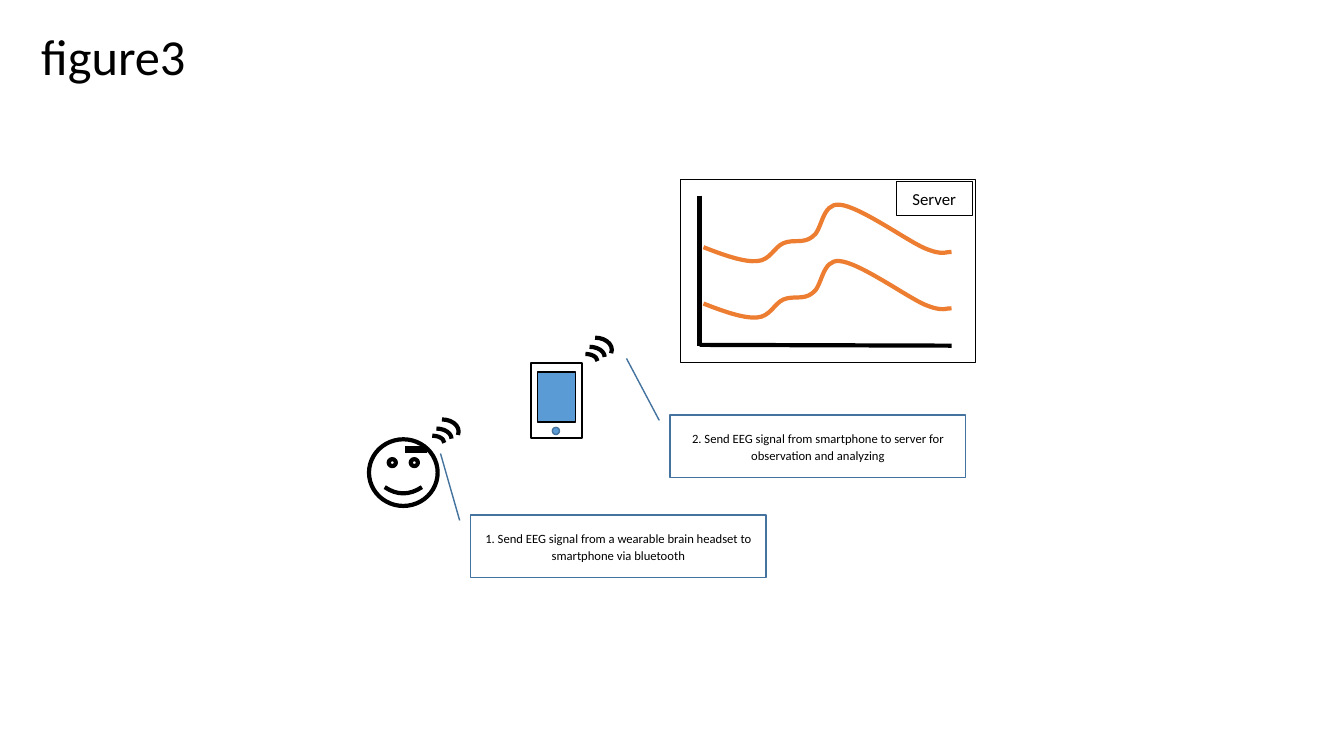
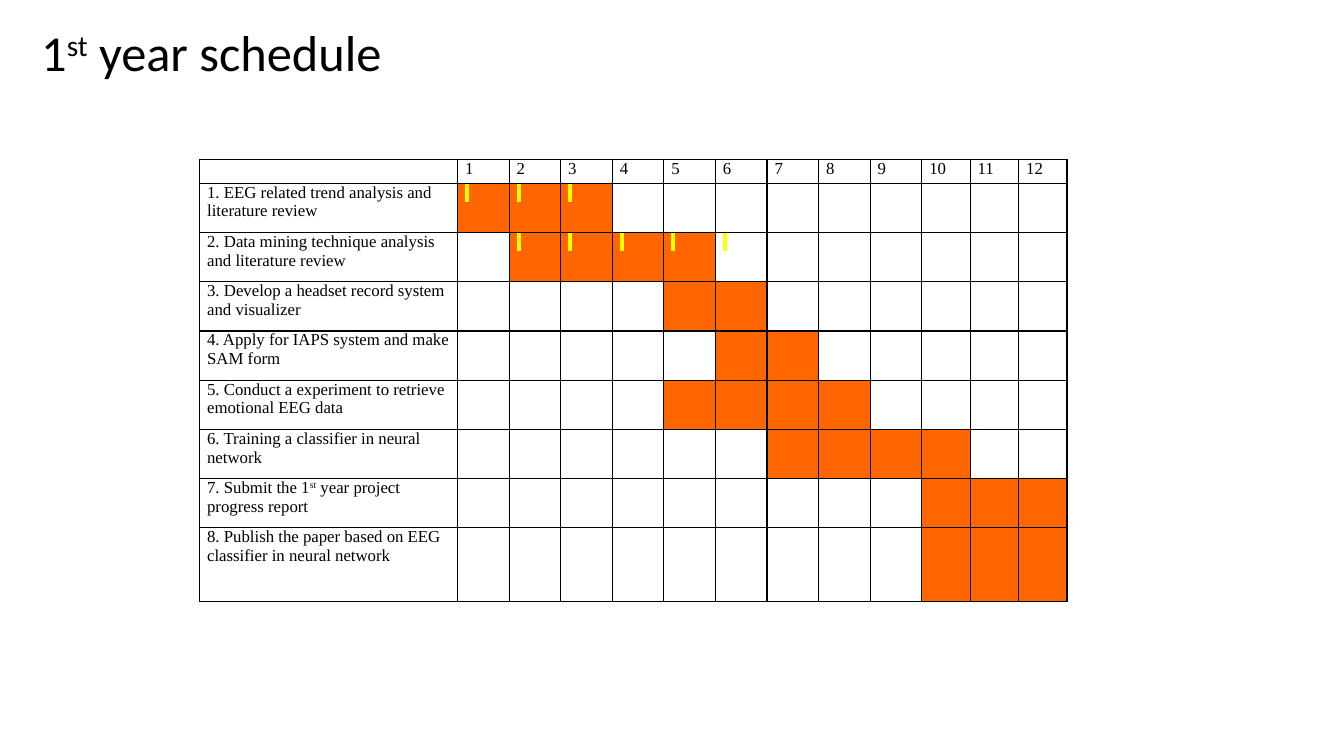
import dataclasses

import lxml.etree
import pptx
import pptx.dml.color
import pptx.enum.shapes
import pptx.enum.text
import pptx.oxml
import pptx.oxml.ns
import pptx.util

Cm = pptx.util.Cm
Pt = pptx.util.Pt
qn = pptx.oxml.ns.qn
Kind = pptx.enum.shapes.MSO_SHAPE
Align = pptx.enum.text.PP_ALIGN
Anchor = pptx.enum.text.MSO_ANCHOR


@dataclasses.dataclass(frozen=True)
class Theme:
    ink: str = "000000"
    paper: str = "FFFFFF"
    screen: str = "5B9BD5"
    edge: str = "43739E"
    wave: str = "ED7D31"
    bar: str = "FF6600"
    mark: str = "FFFF00"
    sans: str = "Calibri"
    serif: str = "Times New Roman"
    title: int = 36
    body: int = 12
    note: int = 9


theme = Theme()

RINGS = [
    (0, 0.41, 0.61, 0.36, ()),
    (0.03, 0.23, 0.76, 0.51, ()),
    (0.13, 0, 0.84, 0.61, (162, 7.319)),
]
WAVE = [
    (0, 1.07),
    (0.51, 1.27), (1.02, 1.45), (1.35, 1.42),
    (1.68, 1.4), (1.78, 1.07), (2.01, 0.97),
    (2.26, 0.86), (2.51, 0.99), (2.74, 0.81),
    (3, 0.66), (2.97, -0.05), (3.43, 0),
    (3.91, 0.03), (5.11, 0.89), (5.56, 1.09),
    (6.05, 1.3), (6.12, 1.17), (6.25, 1.19),
]
TASKS = [
    ("1. EEG related trend analysis and literature review", 1, 3),
    ("2. Data mining technique analysis and literature review", 2, 5),
    ("3. Develop a headset record system and visualizer", 5, 6),
    ("4. Apply for IAPS system and make SAM form", 6, 7),
    ("5. Conduct a experiment to retrieve emotional EEG data", 5, 8),
    ("6. Training a classifier in neural network", 7, 10),
    ("7. Submit the 1^st^ year project progress report", 10, 12),
    ("8. Publish the paper based on EEG classifier in neural network", 10, 12),
]
MARKS = {1: range(1, 4), 2: range(2, 7)}
COLS = [6.5] + [1.3] * 9 + [1.22] * 3
ROWS = [0.61] + [1.24] * 7 + [1.85]


def rgb(code):
    return pptx.dml.color.RGBColor.from_string(code)


def write(frame, text, size=theme.body, font=theme.sans, align=Align.LEFT, lead=None, mark=None):
    para = frame.paragraphs[0]
    para.alignment = align
    if lead:
        para.line_spacing = Pt(lead)
    for turn, part in enumerate(text.split("^")):
        if not part:
            continue
        run = para.add_run()
        run.text = part
        run.font.size = Pt(size)
        run.font.name = font
        run.font.color.rgb = rgb(theme.ink)
        props = run.font._element
        if turn % 2:
            props.set("baseline", "30000")
        if mark:
            glow = lxml.etree.Element(qn("a:highlight"))
            lxml.etree.SubElement(glow, qn("a:srgbClr")).set("val", mark)
            props.find(qn("a:solidFill")).addnext(glow)
    lxml.etree.SubElement(para._p, qn("a:endParaRPr")).set("sz", str(size * 100))


def stroke(item, color, width):
    item.line.color.rgb = rgb(color)
    item.line.width = Pt(width)


def shape(slide, kind, box, line=theme.ink, width=1, fill=None, bend=()):
    item = slide.shapes.add_shape(kind, *map(Cm, box))
    item.shadow.inherit = False
    if fill:
        item.fill.solid()
        item.fill.fore_color.rgb = rgb(fill)
    else:
        item.fill.background()
    stroke(item, line, width)
    for spot, value in enumerate(bend):
        item.adjustments[spot] = value
    return item


def label(item, text, **form):
    item.text_frame.word_wrap = True
    item.text_frame.vertical_anchor = Anchor.MIDDLE
    write(item.text_frame, text, align=Align.CENTER, **form)


def title(slide, text, top):
    frame = slide.shapes.add_textbox(Cm(0.79), Cm(top), Cm(14), Cm(1.8)).text_frame
    frame.word_wrap = True
    frame.auto_size = pptx.enum.text.MSO_AUTO_SIZE.SHAPE_TO_FIT_TEXT
    write(frame, text, size=theme.title)


def rule(slide, start, end, width=3):
    kind = pptx.enum.shapes.MSO_CONNECTOR.STRAIGHT
    item = slide.shapes.add_connector(kind, *map(Cm, start + end))
    stroke(item, theme.ink, width)
    lxml.etree.SubElement(item._element.spPr, qn("a:effectLst"))


def signal(slide, left, top):
    for x, y, wide, high, bend in RINGS:
        shape(slide, Kind.ARC, (left + x, top + y, wide, high), width=3, bend=bend)


def wave(slide, left, top):
    dots = [(Cm(left + x), Cm(top + y)) for x, y in WAVE]
    form = slide.shapes.build_freeform(*dots[0])
    form.add_line_segments(dots[1:], close=False)
    item = form.convert_to_shape()
    item.shadow.inherit = False
    item.fill.background()
    stroke(item, theme.wave, 3)
    steps = list(item._element.iter(qn("a:lnTo")))
    for first in range(0, len(steps), 3):
        curve = lxml.etree.Element(qn("a:cubicBezTo"))
        steps[first].addprevious(curve)
        for step in steps[first:first + 3]:
            curve.append(step[0])
            step.getparent().remove(step)


def callout(slide, text, left, top, bend):
    box = (left, top, 7.44, 1.57)
    item = shape(slide, Kind.LINE_CALLOUT_1, box, line=theme.edge, bend=bend)
    label(item, text, size=theme.note, lead=12)


def phone(slide):
    shape(slide, Kind.RECTANGLE, (13.39, 9.14, 1.27, 1.91), width=1.5)
    shape(slide, Kind.RECTANGLE, (13.54, 9.37, 0.97, 1.27), fill=theme.screen)
    shape(slide, Kind.OVAL, (13.92, 10.77, 0.18, 0.18), line=theme.edge, fill=theme.screen)


def server(slide):
    shape(slide, Kind.RECTANGLE, (17.15, 4.52, 7.44, 4.62))
    for top in (5.16, 6.58):
        wave(slide, 17.73, top)
    rule(slide, (17.63, 4.93), (17.63, 8.71))
    rule(slide, (23.98, 8.71), (17.63, 8.69))
    tag = shape(slide, Kind.RECTANGLE, (22.58, 4.57, 1.93, 0.86), width=0.5)
    label(tag, "Server")


def paint(cell, text, fill, mark):
    cell.margin_left = cell.margin_right = Cm(0.19)
    cell.margin_top = cell.margin_bottom = 0
    write(cell.text_frame, text, font=theme.serif, mark=mark)
    props = cell._tc.get_or_add_tcPr()
    for side in ("a:lnL", "a:lnR", "a:lnT", "a:lnB"):
        line = lxml.etree.SubElement(props, qn(side), w=str(Pt(1)))
        solid = lxml.etree.SubElement(line, qn("a:solidFill"))
        lxml.etree.SubElement(solid, qn("a:srgbClr"), val=theme.ink)
    cell.fill.solid()
    cell.fill.fore_color.rgb = rgb(fill)


def chart(slide):
    size = (len(ROWS), len(COLS))
    place = (5.03, 4.01, sum(COLS), sum(ROWS))
    grid = slide.shapes.add_table(*size, *map(Cm, place)).table
    grid.first_row = grid.horz_banding = False
    for col, wide in zip(grid.columns, COLS):
        col.width = Cm(wide)
    for row, high in zip(grid.rows, ROWS):
        row.height = Cm(high)
    for month in range(len(COLS)):
        paint(grid.cell(0, month), str(month or ""), theme.paper, None)
    for row, (task, start, end) in enumerate(TASKS, 1):
        paint(grid.cell(row, 0), task, theme.paper, None)
        for month in range(1, len(COLS)):
            fill = theme.bar if start <= month <= end else theme.paper
            lit = month in MARKS.get(row, ())
            paint(grid.cell(row, month), " " if lit else "", fill, theme.mark if lit else None)


def figure(slide):
    shape(slide, Kind.SMILEY_FACE, (9.3, 11.07, 1.73, 1.68), width=3)
    rule(slide, (10.21, 11.33), (10.77, 11.33), width=4.5)
    signal(slide, 10.59, 10.57)
    phone(slide)
    signal(slide, 14.45, 8.51)
    server(slide)
    callout(slide, "1. Send EEG signal from a wearable brain headset to smartphone via bluetooth",
            11.86, 12.98, (0.086, -0.037, -0.989, -0.102))
    callout(slide, "2. Send EEG signal from smartphone to server for observation and analyzing",
            16.89, 10.46, (0.086, -0.037, -0.909, -0.148))
    title(slide, "figure3", 0.51)


def plan(slide):
    chart(slide)
    title(slide, "1^st^ year schedule", 0.41)


def main():
    deck = pptx.Presentation()
    deck.slide_width = Cm(33.87)
    deck.slide_height = Cm(19.05)
    for draw in (figure, plan):
        draw(deck.slides.add_slide(deck.slide_layouts[6]))
    deck.save("out.pptx")


main()
